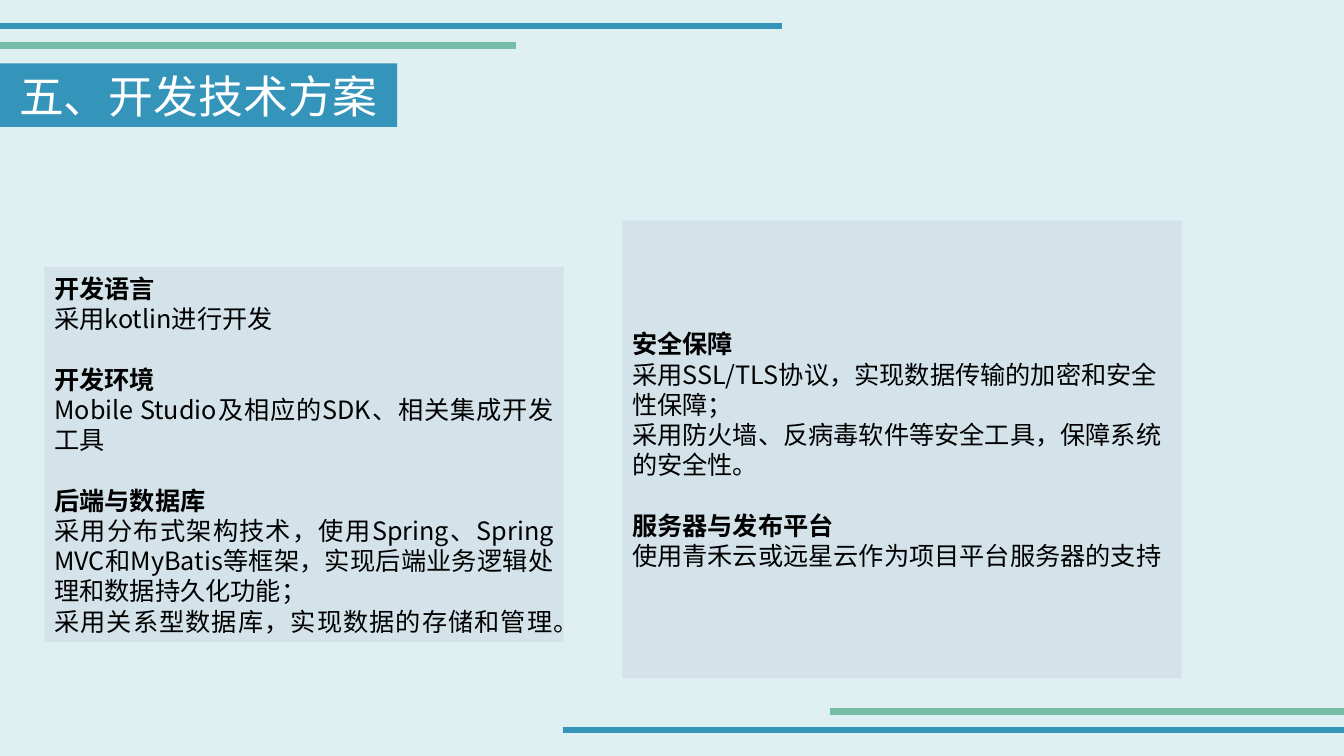
from dataclasses import dataclass

from lxml import etree
from pptx import Presentation
from pptx.dml.color import RGBColor
from pptx.enum.shapes import MSO_CONNECTOR, MSO_SHAPE
from pptx.enum.text import MSO_ANCHOR, MSO_AUTO_SIZE, PP_ALIGN
from pptx.oxml.ns import qn
from pptx.util import Inches, Pt

STRAIGHT = MSO_CONNECTOR.STRAIGHT
RECT = MSO_SHAPE.RECTANGLE
MIDDLE = MSO_ANCHOR.MIDDLE
NO_FIT = MSO_AUTO_SIZE.NONE
LEFT, CENTER, JUSTIFY = PP_ALIGN.LEFT, PP_ALIGN.CENTER, PP_ALIGN.JUSTIFY

COLORS = {
    "back": "DEF0F2",
    "blue": "3494BA",
    "green": "75BDA7",
    "panel": "CEDBE6",
    "text": "000000",
    "title": "FFFFFF",
}
BODY_FONT = "Noto Sans CJK SC"
TITLE_FONT = "Noto Sans CJK JP"
LINE_GAP = Pt(21.6)


@dataclass
class Stripe:
    start: float
    end: float
    y: float
    color: str


@dataclass
class Topic:
    head: str
    lines: list[str]


@dataclass
class Panel:
    left: float
    top: float
    width: float
    height: float
    align: PP_ALIGN
    topics: list[Topic]


STRIPES = [
    Stripe(5.12, 0, 0.45, "green"),
    Stripe(7.76, 0, 0.26, "blue"),
    Stripe(8.23, 13.33, 7.06, "green"),
    Stripe(5.58, 13.33, 7.24, "blue"),
]

PANELS = [
    Panel(0.44, 2.65, 5.15, 3.72, JUSTIFY, [
        Topic("开发语言", ["采用kotlin进行开发"]),
        Topic("开发环境", ["Mobile Studio及相应的SDK、相关集成开发工具"]),
        Topic("后端与数据库", [
            "采用分布式架构技术，使用Spring、Spring MVC和MyBatis等框架，"
            "实现后端业务逻辑处理和数据持久化功能；",
            "采用关系型数据库，实现数据的存储和管理。",
        ]),
    ]),
    Panel(6.17, 2.19, 5.55, 4.54, LEFT, [
        Topic("安全保障", [
            "采用SSL/TLS协议，实现数据传输的加密和安全性保障；",
            "采用防火墙、反病毒软件等安全工具，保障系统的安全性。",
        ]),
        Topic("服务器与发布平台", ["使用青禾云或远星云作为项目平台服务器的支持"]),
    ]),
]


def rgb(name: str) -> RGBColor:
    return RGBColor.from_string(COLORS[name])


def style(para, font: str, size: int, color: str, bold: bool = False) -> None:
    """Format every run, naming the font for Latin and East Asian text."""
    for run in para.runs:
        run.font.name = font
        run.font.size = Pt(size)
        run.font.bold = bold
        run.font.color.rgb = rgb(color)
        east = etree.SubElement(run.font._element, qn("a:ea"))
        east.set("typeface", font)


def add_stripe(slide, stripe: Stripe) -> None:
    y = Inches(stripe.y)
    line = slide.shapes.add_connector(
        STRAIGHT, Inches(stripe.start), y, Inches(stripe.end), y)
    line.line.color.rgb = rgb(stripe.color)
    line.line.width = Pt(4.5)
    etree.SubElement(line._element.spPr, qn("a:effectLst"))


def add_panel(slide, panel: Panel) -> None:
    box = slide.shapes.add_shape(
        RECT, Inches(panel.left), Inches(panel.top),
        Inches(panel.width), Inches(panel.height))
    box.shadow.inherit = False
    box.line.fill.background()
    box.fill.solid()
    box.fill.fore_color.rgb = rgb("panel")
    tint = box._element.spPr.find(".//" + qn("a:srgbClr"))
    etree.SubElement(tint, qn("a:alpha")).set("val", "59000")

    frame = box.text_frame
    frame.word_wrap = True
    frame.vertical_anchor = MIDDLE
    heads = [topic.head for topic in panel.topics]
    texts = [text for topic in panel.topics
             for text in (topic.head, *topic.lines)]
    frame.text = "\n".join(texts)
    for i, para in enumerate(frame.paragraphs):
        head = para.text in heads
        para.alignment = panel.align
        para.line_spacing = LINE_GAP
        if head and i:
            para.space_before = LINE_GAP
        style(para, BODY_FONT, 18, "text", head)


def set_title(slide) -> None:
    title = slide.shapes.title
    title.left, title.top = Inches(0), Inches(0.63)
    title.width, title.height = Inches(3.94), Inches(0.63)
    title.fill.solid()
    title.fill.fore_color.rgb = rgb("blue")
    frame = title.text_frame
    frame.text = "五、开发技术方案"
    frame.auto_size = NO_FIT
    frame.word_wrap = True
    frame.vertical_anchor = MIDDLE
    frame.margin_top = frame.margin_bottom = 0
    para = frame.paragraphs[0]
    para.alignment = CENTER
    style(para, TITLE_FONT, 32, "title")


def main() -> None:
    deck = Presentation()
    deck.slide_width, deck.slide_height = Inches(13.33), Inches(7.5)
    slide = deck.slides.add_slide(deck.slide_layouts[5])
    slide.background.fill.solid()
    slide.background.fill.fore_color.rgb = rgb("back")
    for stripe in STRIPES:
        add_stripe(slide, stripe)
    for panel in PANELS:
        add_panel(slide, panel)
    set_title(slide)
    deck.save("out.pptx")


if __name__ == "__main__":
    main()
